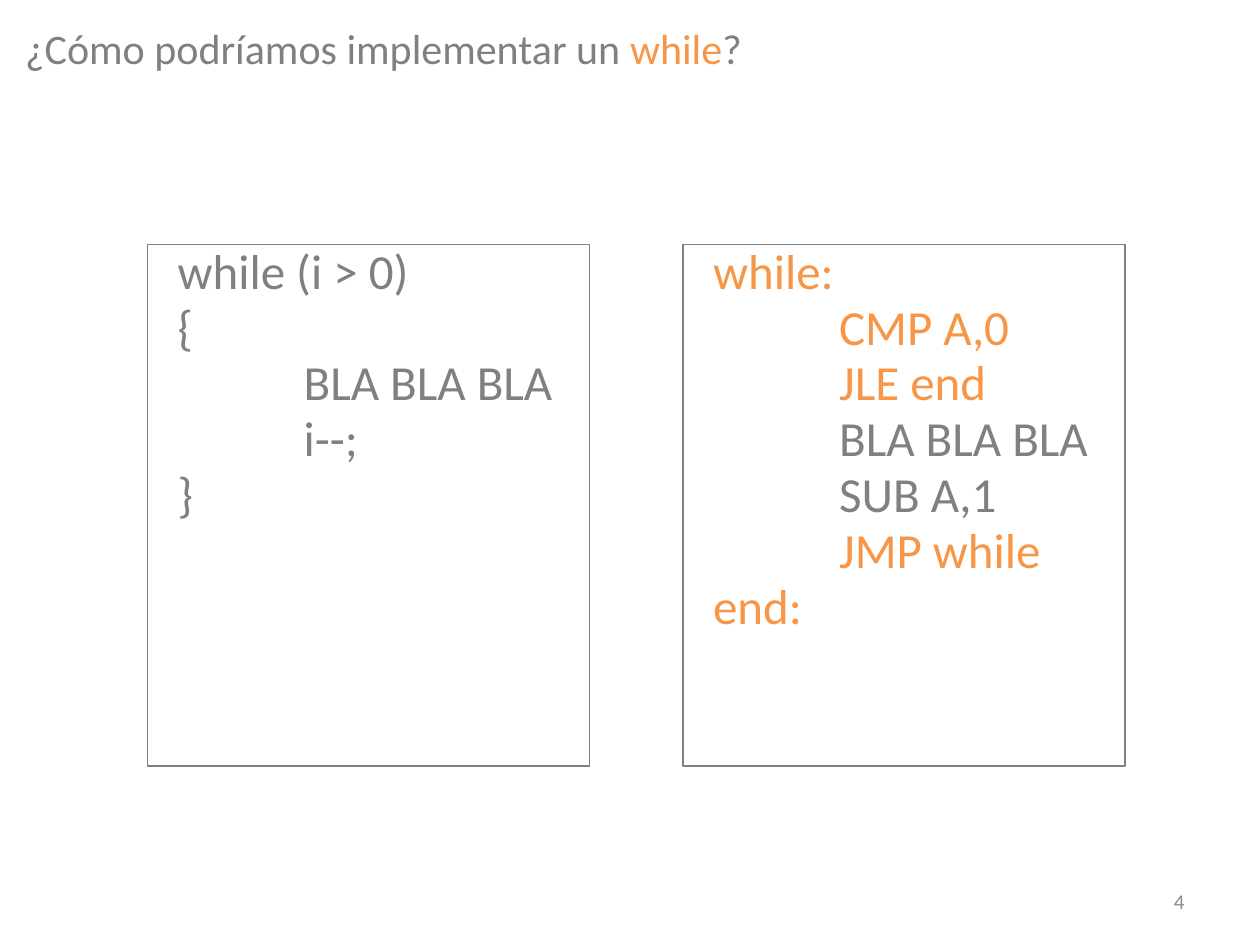
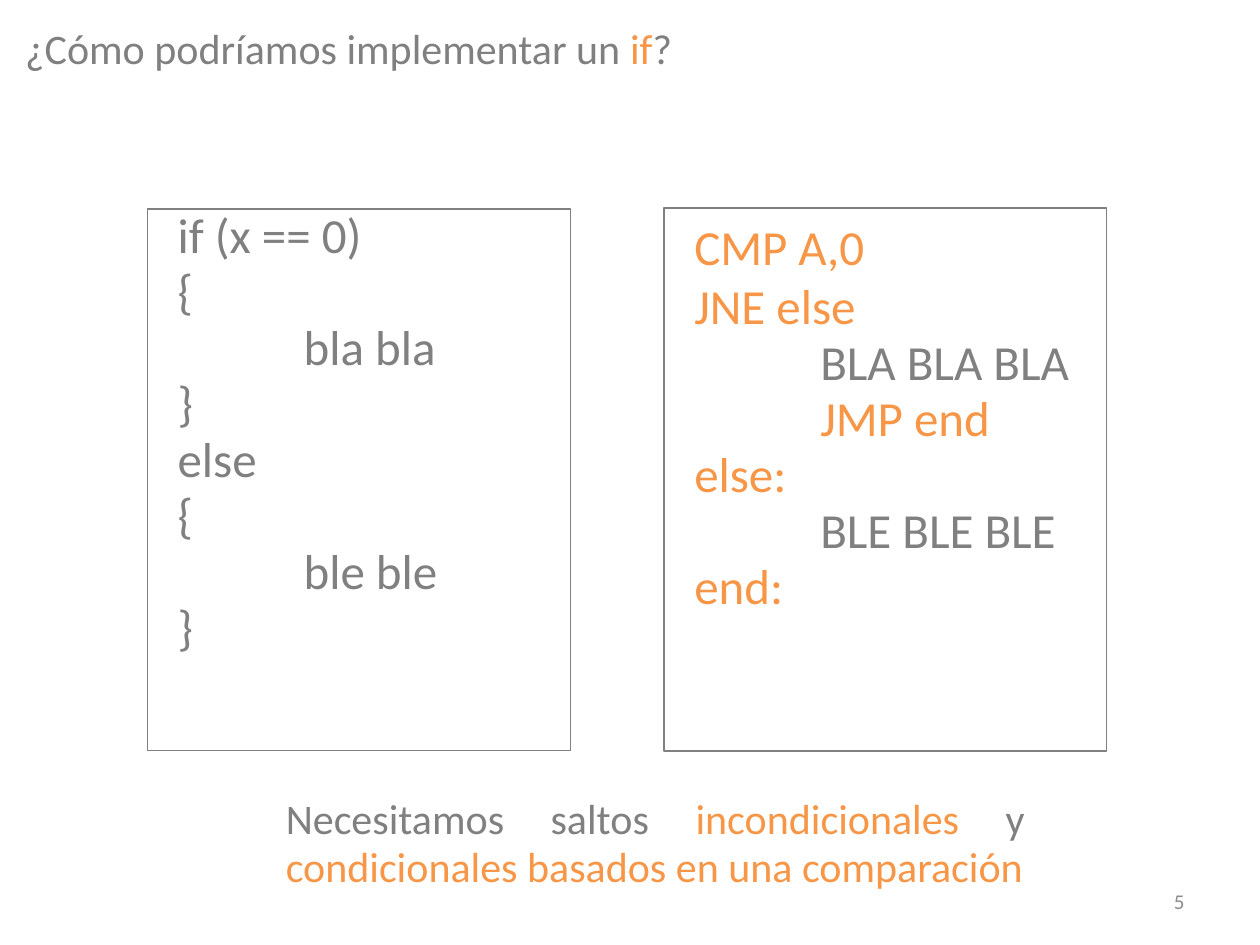
"""Build two slides that compare control structures with assembly code."""
from dataclasses import dataclass

from pptx import Presentation
from pptx.dml.color import RGBColor
from pptx.enum.shapes import MSO_SHAPE
from pptx.enum.text import MSO_ANCHOR, MSO_AUTO_SIZE, PP_ALIGN
from pptx.util import Inches, Pt

RECT = MSO_SHAPE.RECTANGLE
TOP, MIDDLE = MSO_ANCHOR.TOP, MSO_ANCHOR.MIDDLE
FIXED, GROW = MSO_AUTO_SIZE.NONE, MSO_AUTO_SIZE.SHAPE_TO_FIT_TEXT
JUSTIFY, RIGHT = PP_ALIGN.JUSTIFY, PP_ALIGN.RIGHT

SLIDES = [
    {
        "title": "¿Cómo podríamos implementar un *while*?",
        "number": "4",
        "source": {
            "at": (1.17, 1.94, 3.51, 4.14),
            "lines": ["while (i > 0)", "{", "\tBLA BLA BLA", "\ti--;", "}"],
        },
        "target": {
            "at": (5.42, 1.94, 3.51, 4.14),
            "lines": ["*while:*", "\t*CMP A,0*", "\t*JLE end*", "\tBLA BLA BLA",
                      "\tSUB A,1", "\t*JMP while*", "*end:*"],
        },
    },
    {
        "title": "¿Cómo podríamos implementar un *if*?",
        "number": "5",
        "source": {
            "at": (1.17, 1.66, 3.36, 4.3),
            "lines": ["if (x == 0)", "{", "\tbla bla", "}",
                      "else", "{", "\tble ble", "}"],
        },
        "target": {
            "at": (5.27, 1.65, 3.51, 4.31),
            "lines": ["*CMP A,0*", "*JNE else*", "\tBLA BLA BLA", "\t*JMP end*",
                      "*else:*", "\tBLE BLE BLE", "*end:*"],
            "top": 0.1,
            "after": 2,
        },
        "note": "Necesitamos saltos *incondicionales* y "
                "*condicionales basados en una comparación*",
    },
]
TITLE_AT = (0.2, 0.21, 6.46, 1.02)
NOTE_AT = (2.17, 6.27, 6.06, 0.87)
NUMBER_AT = (7.17, 6.95, 2.33, 0.4)
MARGIN, STEP = 0.24, 1


@dataclass(frozen=True)
class Theme:
    """Hold the shared font, colours and type sizes."""
    font: str = "Calibri"
    gray: RGBColor = RGBColor(0x80, 0x80, 0x80)
    pale: RGBColor = RGBColor(0x8C, 0x8C, 0x8C)
    accent: RGBColor = RGBColor(0xF7, 0x96, 0x46)
    code: int = 28
    body: int = 24
    small: int = 12


THEME = Theme()


def place(at):
    """Turn a box in inches into lengths."""
    return [Inches(n) for n in at]


def write(shape, lines, size=THEME.body, color=THEME.gray, align=JUSTIFY,
          anchor=TOP, fit=FIXED, inset=None, top=0, margin=0, spacing=0.95,
          after=0):
    """Write lines; tabs set the indent and stars mark accented words."""
    frame = shape.text_frame
    frame.word_wrap, frame.auto_size = True, fit
    frame.vertical_anchor = anchor
    if inset is not None:
        frame.margin_left = frame.margin_right = Inches(inset)
        frame.margin_bottom = Inches(inset)
        frame.margin_top = Inches(inset + top)
    for i, line in enumerate(lines):
        para = frame.add_paragraph() if i else frame.paragraphs[0]
        para.alignment, para.line_spacing = align, spacing
        para.space_before = Pt(0)
        para.space_after = Pt(0 if i else after)
        words = line.lstrip("\t")
        left = margin + STEP * (len(line) - len(words))
        para._p.get_or_add_pPr().set("marL", str(Inches(left)))
        for j, part in enumerate(words.split("*")):
            if part:
                run = para.add_run()
                run.text = part
                run.font.name, run.font.size = THEME.font, Pt(size)
                run.font.color.rgb = THEME.accent if j % 2 else color


def add_code(slide, at, lines, **style):
    """Add an outlined box of code."""
    box = slide.shapes.add_shape(RECT, *place(at))
    box.shadow.inherit = False
    box.fill.background()
    box.line.color.rgb, box.line.width = THEME.gray, Pt(0.75)
    write(box, lines, size=THEME.code, inset=0, margin=MARGIN, **style)


def add_slide(deck, data):
    """Add one slide with its title, code boxes, note and number."""
    slide = deck.slides.add_slide(deck.slide_layouts[5])
    title = slide.shapes.title
    title.left, title.top, title.width, title.height = place(TITLE_AT)
    write(title, [data["title"]], inset=0)
    for side in ("source", "target"):
        add_code(slide, **data[side])
    if "note" in data:
        note = slide.shapes.add_textbox(*place(NOTE_AT))
        write(note, [data["note"]], fit=GROW)
    number = slide.shapes.add_textbox(*place(NUMBER_AT))
    write(number, [data["number"]], size=THEME.small, color=THEME.pale,
          align=RIGHT, anchor=MIDDLE, spacing=1.0)


def main():
    """Build and save the deck."""
    deck = Presentation()
    deck.slide_width, deck.slide_height = Inches(10), Inches(7.5)
    for data in SLIDES:
        add_slide(deck, data)
    deck.save("out.pptx")


if __name__ == "__main__":
    main()
